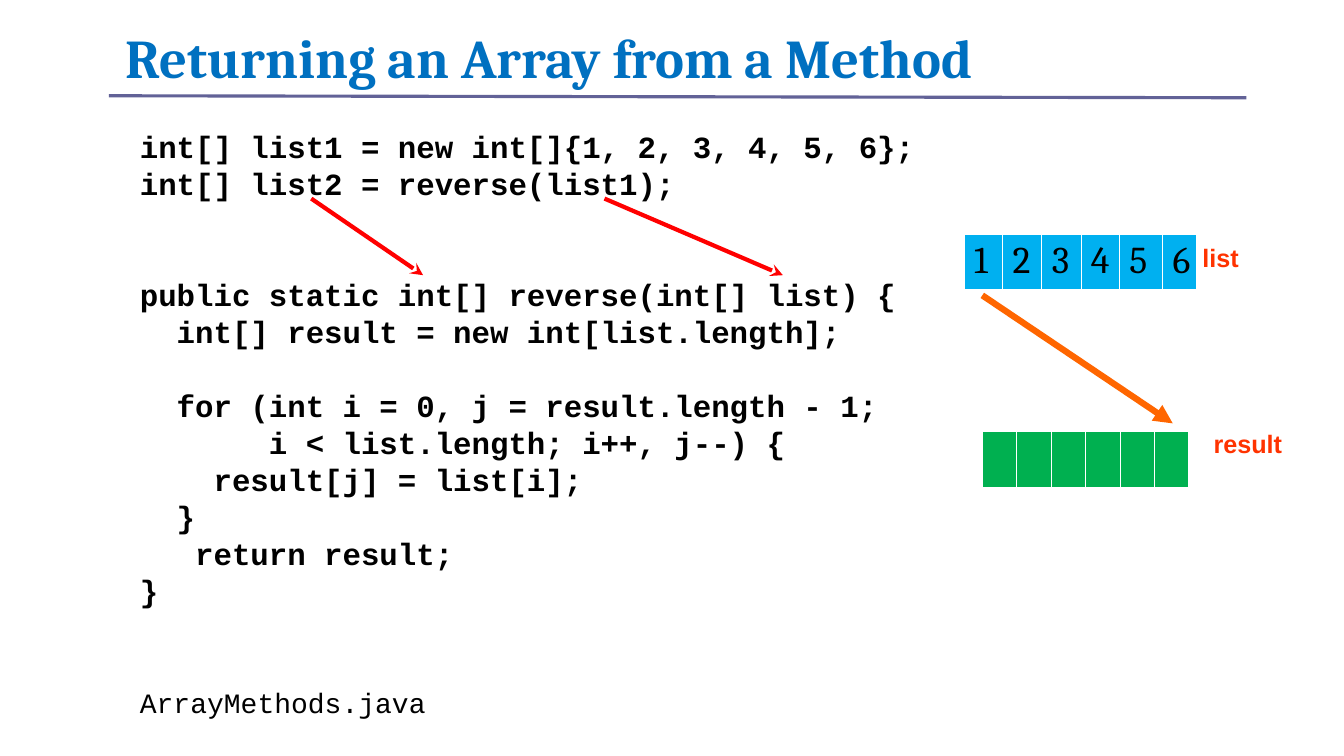
from lxml import etree
from pptx import Presentation
from pptx.dml.color import RGBColor
from pptx.enum.shapes import MSO_CONNECTOR
from pptx.enum.text import MSO_ANCHOR, PP_ALIGN
from pptx.oxml import parse_xml
from pptx.oxml.ns import nsdecls, qn
from pptx.util import Inches, Pt

STRAIGHT = MSO_CONNECTOR.STRAIGHT
TOP, MIDDLE = MSO_ANCHOR.TOP, MSO_ANCHOR.MIDDLE
LEFT, CENTER = PP_ALIGN.LEFT, PP_ALIGN.CENTER

COLORS = {
    "title": "0070C0",
    "code": "000000",
    "label": "FF3300",
    "call": "FF0000",
    "copy": "FF6600",
    "rule": "626297",
    "list": "00B0F0",
    "result": "00B050",
    "border": "FFFFFF",
}
LINE_PITCH = 26.4

presentation = Presentation()
presentation.slide_width = Inches(13.34)
presentation.slide_height = Inches(7.5)
slide = presentation.slides.add_slide(presentation.slide_layouts[6])
column = presentation.slide_width / 100
row = presentation.slide_height / 100


def grid(*shares):
    return [round(share * (row if index % 2 else column)) for index, share in enumerate(shares)]


def write(paragraph, text, color, **formats):
    paragraph.text = text
    for name, value in formats.items():
        setattr(paragraph.font, name, value)
    paragraph.font.color.rgb = RGBColor.from_string(COLORS[color])


title_format = {"name": "Cambria", "size": Pt(39), "bold": True}
code_format = {"name": "Courier New", "size": Pt(22), "bold": True}
file_format = {"name": "Courier New", "size": Pt(20), "bold": False}
label_format = {"name": "Arial", "size": Pt(18), "bold": True}
digit_format = {"name": "Cambria", "size": Pt(27), "bold": False}

code_lines = [
    (0, "int[] list1 = new int[]{1, 2, 3, 4, 5, 6};", code_format),
    (0, "int[] list2 = reverse(list1);", code_format),
    (2, "public static int[] reverse(int[] list) {", code_format),
    (0, "  int[] result = new int[list.length];", code_format),
    (1, "  for (int i = 0, j = result.length - 1;", code_format),
    (0, "       i < list.length; i++, j--) {", code_format),
    (0, "    result[j] = list[i];", code_format),
    (0, "  }", code_format),
    (0, "   return result;", code_format),
    (0, "}", code_format),
    (2, "ArrayMethods.java", file_format),
]

text_boxes = [
    ((8.62, 4.4, 76.16, 7.73), MIDDLE, LEFT, 0.8, "title",
     [(0, "Returning an Array from a Method", title_format)]),
    ((9.67, 16.27, 80.96, 82.4), TOP, LEFT, Pt(LINE_PITCH), "code", code_lines),
    ((87.71, 31.33, 6.22, 5.33), TOP, CENTER, 1.0, "label", [(0, "list", label_format)]),
    ((88.46, 56, 8.77, 5.33), TOP, CENTER, 1.0, "label", [(0, "result", label_format)]),
]
for area, anchor, alignment, spacing, color, lines in text_boxes:
    frame = slide.shapes.add_textbox(*grid(*area)).text_frame
    frame.word_wrap = True
    frame.vertical_anchor = anchor
    for index, (gap, text, formats) in enumerate(lines):
        paragraph = frame.add_paragraph() if index else frame.paragraphs[0]
        write(paragraph, text, color, **formats)
        paragraph.alignment = alignment
        paragraph.line_spacing = spacing
        if gap:
            paragraph.space_before = Pt(gap * LINE_PITCH)

arrays = [
    ("list", 71.74, 30.93, [2.85, 2.92, 2.92, 2.85, 3.22, 2.55], "123456"),
    ("result", 73.09, 57.07, [2.56] * 6, ""),
]
for color, left, top, widths, digits in arrays:
    area = grid(left, top, sum(widths), 7.33)
    table = slide.shapes.add_table(1, len(widths), *area).table
    table.first_row = table.horz_banding = False
    for index, width in enumerate(widths):
        table.columns[index].width = round(width * column)
        cell = table.cell(0, index)
        cell.vertical_anchor = MIDDLE
        cell.margin_right = cell.margin_top = cell.margin_bottom = 0
        for side in ("lnL", "lnR", "lnT", "lnB"):
            cell._tc.get_or_add_tcPr().append(parse_xml(
                f'<a:{side} {nsdecls("a")} w="{Pt(0.45)}"><a:solidFill>'
                f'<a:srgbClr val="{COLORS["border"]}"/></a:solidFill></a:{side}>'))
        cell.fill.solid()
        cell.fill.fore_color.rgb = RGBColor.from_string(COLORS[color])
        if digits:
            write(cell.text_frame.paragraphs[0], digits[index], "code", **digit_format)

connectors = [
    ((44.98, 26.27, 58.25, 36.4), "call", 3, "stealth"),
    ((23.16, 26.27, 31.48, 36.4), "call", 3, "stealth"),
    ((73.09, 39.07, 87.26, 56), "copy", 4.5, "triangle"),
    ((8.1, 12.67, 92.73, 12.93), "rule", 2.25, None),
]
for ends, color, width, arrowhead in connectors:
    connector = slide.shapes.add_connector(STRAIGHT, *grid(*ends))
    connector.line.color.rgb = RGBColor.from_string(COLORS[color])
    connector.line.width = Pt(width)
    if arrowhead:
        etree.SubElement(connector.line._get_or_add_ln(), qn("a:tailEnd"), type=arrowhead)
    etree.SubElement(connector._element.spPr, qn("a:effectLst"))

presentation.save("out.pptx")
